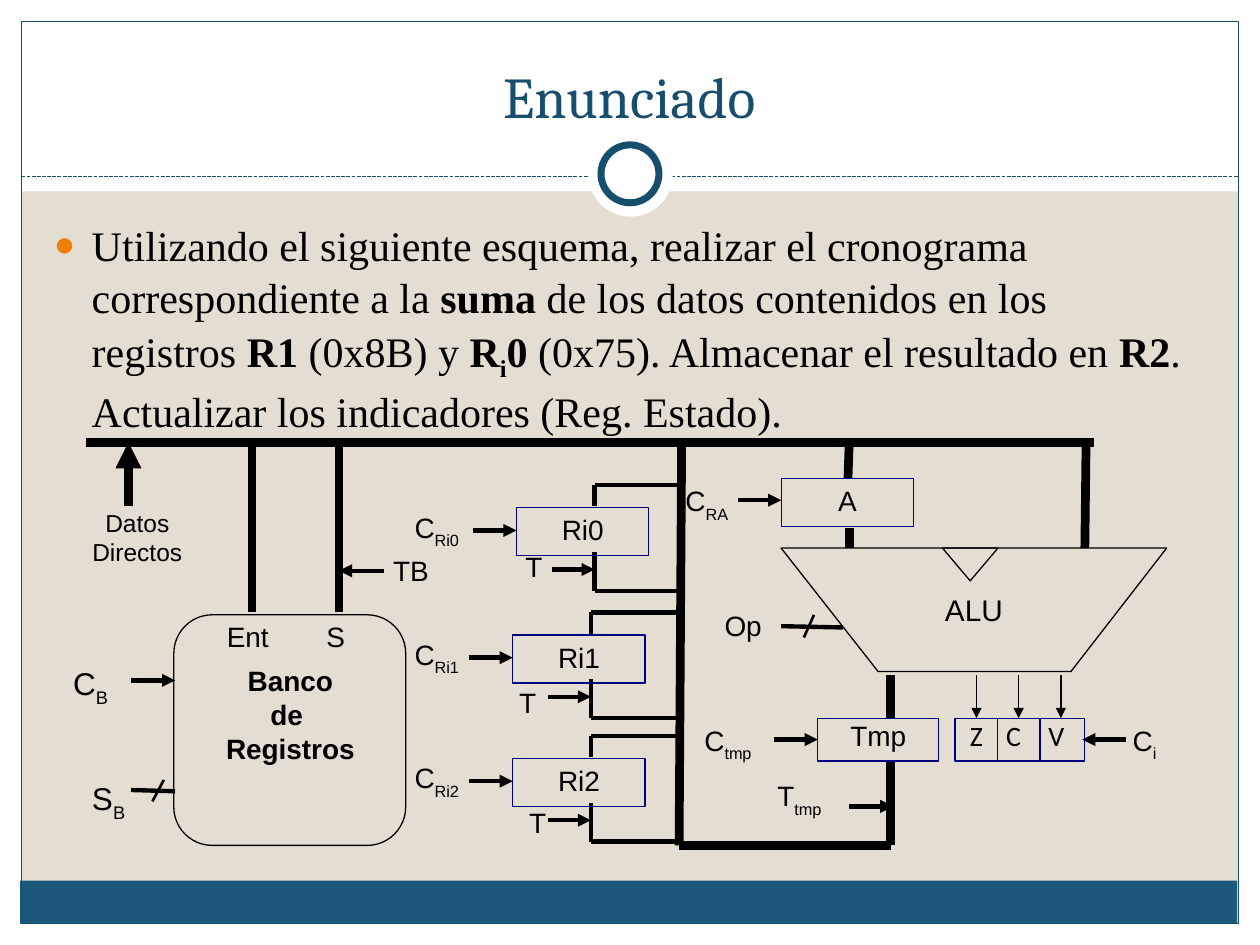
from dataclasses import dataclass
from lxml.etree import SubElement
from pptx import Presentation
from pptx.dml.color import RGBColor
from pptx.enum.dml import MSO_LINE
from pptx.enum.shapes import MSO_CONNECTOR, MSO_SHAPE as SHP
from pptx.enum.text import MSO_ANCHOR as ANC, PP_ALIGN as AL
from pptx.oxml.ns import qn
from pptx.util import Inches, Pt


@dataclass(frozen=True)
class Theme:
    sand: str = 'E3DED1'
    white: str = 'FFFFFF'
    band: str = '1B587C'
    blue: str = '184E6D'
    navy: str = '000080'
    black: str = '000000'
    orange: str = 'F07F09'
    title: int = 33
    body: int = 24
    large: int = 18
    alu: int = 17
    label: int = 16
    small: int = 14
    bus: float = 5
    wire: float = 2.5
    slash: float = 1.5
    thin: float = 0.75


T = Theme()
prs = Presentation()
prs.slide_width, prs.slide_height = Inches(10), Inches(7.5)
COL, ROW = prs.slide_width / 10, prs.slide_height / 7.5
s = prs.slides.add_slide(prs.slide_layouts[6])
s.background.fill.solid()
s.background.fill.fore_color.rgb = RGBColor.from_string(T.sand)


def box(kind, at, paras=(), size=T.label, font='Arial', color=T.black, fill=None,
        line=None, width=T.thin, al=AL.LEFT, anchor=ANC.TOP, ins=(0.07, 0.04)):
    x, y, w, h = (int(v * u) for v, u in zip(at, (COL, ROW, COL, ROW)))
    if kind is None:
        sp = s.shapes.add_textbox(x, y, w, h)
    elif isinstance(kind, list):
        pts = [(int(px * COL), int(py * ROW)) for px, py in kind]
        fb = s.shapes.build_freeform(*pts[0])
        fb.add_line_segments(pts[1:], close=True)
        sp = fb.convert_to_shape()
    else:
        sp = s.shapes.add_shape(kind, x, y, w, h)
    if kind is not None:
        sp.shadow.inherit = False
        for part, rgb in ((sp.fill, fill), (sp.line.fill, line)):
            if rgb:
                part.solid()
                part.fore_color.rgb = RGBColor.from_string(rgb)
            else:
                part.background()
        if line:
            sp.line.width = Pt(width)
    tf = sp.text_frame
    tf.word_wrap = True
    tf.vertical_anchor = anchor
    tf.margin_left = tf.margin_right = int(ins[0] * COL)
    tf.margin_top = tf.margin_bottom = int(ins[1] * ROW)
    for i, runs in enumerate(paras):
        p = tf.paragraphs[0] if i == 0 else tf.add_paragraph()
        p.alignment = al
        for text, bold, base in runs:
            r = p.add_run()
            r.text = text
            r.font.size, r.font.name, r.font.bold = Pt(size), font, bold
            r.font.color.rgb = RGBColor.from_string(color)
            if base:
                r.font._element.set('baseline', str(base * 1000))
    return sp


def wire(x1, y1, x2, y2, width=T.wire, arrow=False, color=T.black, dash=None):
    ln = s.shapes.add_connector(MSO_CONNECTOR.STRAIGHT, int(x1 * COL), int(y1 * ROW),
                                int(x2 * COL), int(y2 * ROW))
    ln.line.color.rgb = RGBColor.from_string(color)
    ln.line.width = Pt(width)
    if dash:
        ln.line.dash_style = dash
    spPr = ln._element.spPr
    if arrow:
        SubElement(spPr.find(qn('a:ln')), qn('a:tailEnd'), type='triangle')
    SubElement(spPr, qn('a:effectLst'))


for at, rgb in (((0, 7.33, 10, 0.17), T.white), ((0, 0, 10, 1.52), T.white),
                ((0, 0, 0.17, 7.5), T.white), ((9.83, 0, 0.17, 7.5), T.white),
                ((0.16, 6.99, 9.66, 0.34), T.band)):
    box(SHP.RECTANGLE, at, fill=rgb)
box(SHP.RECTANGLE, (0.17, 0.17, 9.66, 7.16), line=T.blue)
wire(0.17, 1.4, 9.83, 1.4, T.thin, color=T.blue, dash=MSO_LINE.SQUARE_DOT)
box(SHP.OVAL, (4.67, 1.05, 0.67, 0.67), fill=T.white)
box(SHP.OVAL, (4.77, 1.15, 0.46, 0.46), fill=T.white, line=T.blue, width=4)

box(None, (0.33, 0.25, 9.33, 0.83), [[('Enunciado', False, 0)]], T.title, 'Cambria', T.blue,
    al=AL.CENTER, anchor=ANC.BOTTOM, ins=(0.1, 0.05))
statement = [
    ('Utilizando el siguiente esquema, realizar el cronograma correspondiente a la ', False, 0),
    ('suma ', True, 0), ('de los datos contenidos en los registros ', False, 0),
    ('R1', True, 0), (' (0x8B) y ', False, 0), ('R', True, 0), ('i', True, -25),
    ('0 ', True, 0), ('(0x75). Almacenar el resultado en ', False, 0), ('R2', True, 0),
    ('. Actualizar los indicadores (Reg. Estado).', False, 0)]
body = box(None, (0.33, 1.67, 9.3, 5), [statement], T.body, 'Times New Roman', ins=(0.1, 0.05))
p = body.text_frame.paragraphs[0]
p.line_spacing, p.space_before = 1.05, Pt(2)
pPr = p._p.get_or_add_pPr()
pPr.set('marL', str(int(0.3 * COL)))
pPr.set('indent', str(int(-0.3 * COL)))
SubElement(SubElement(pPr, qn('a:buClr')), qn('a:srgbClr'), val=T.orange)
SubElement(pPr, qn('a:buSzPct'), val='85000')
SubElement(pPr, qn('a:buFont'), typeface='Arial')
SubElement(pPr, qn('a:buChar'), char='●')

box(SHP.ROUNDED_RECTANGLE, (1.38, 4.88, 1.84, 1.83), line=T.black)
box(None, (1.56, 5.23, 1.49, 1.14),
    [[(word, True, 0)] for word in ('Banco', 'de ', 'Registros')], al=AL.CENTER)
box([(6.2, 4.35), (6.97, 5.33), (8.5, 5.33), (9.26, 4.35)], (6.2, 4.35, 3.06, 0.98),
    [[('ALU', False, 0)]], T.alu, line=T.black, al=AL.CENTER, anchor=ANC.MIDDLE)
notch = box(SHP.ISOSCELES_TRIANGLE, (7.48, 4.35, 0.44, 0.26), line=T.black)
notch.rotation = 180

BUS_Y, BUS_X, TMP_X, END_Y = 3.51, 5.39, 7.07, 6.71
for seg in ((0.68, BUS_Y, 8.68, BUS_Y), (2, 4.86, 2, BUS_Y), (2.69, 4.86, 2.69, BUS_Y),
            (BUS_X, END_Y, 5.41, BUS_Y), (6.73, 3.8, 6.74, BUS_Y), (6.74, 4.35, 6.74, 4.19),
            (TMP_X, 5.7, TMP_X, 5.36), (BUS_X, END_Y, TMP_X, END_Y),
            (TMP_X, END_Y, TMP_X, 6.04), (8.61, 4.35, 8.62, BUS_Y)):
    wire(*seg, T.bus)
wire(1.02, 4.02, 1.02, BUS_Y, T.bus, True)
for seg in ((1.04, 5.4, 1.39, 5.4), (3.05, 4.53, 2.69, 4.53), (5.86, 3.97, 6.2, 3.97),
            (6.14, 5.87, 6.49, 5.87), (6.74, 6.4, 7.09, 6.4), (8.94, 5.87, 8.59, 5.87)):
    wire(*seg, arrow=True)
for seg in ((1.04, 6.27, 1.39, 6.28), (6.2, 4.97, 6.69, 4.98)):
    wire(*seg)
for seg in ((1.3, 6.19, 1.21, 6.36), (6.46, 4.88, 6.38, 5.06)):
    wire(*seg, T.slash)

for i, (x, top, tx, ty) in enumerate(((4.72, 3.85, 4.1, 4.32), (4.69, 4.86, 4.05, 5.4),
                                      (4.69, 5.84, 4.13, 6.35))):
    name = f'Ri{i}'
    for seg in ((BUS_X, top, x, top), (x, top, x, top + 0.17),
                (x, top + 0.53, x, top + 0.84), (BUS_X, top + 0.84, x, top + 0.84)):
        wire(*seg)
    wire(x - 0.97, top + 0.36, x - 0.62, top + 0.36, arrow=True)
    wire(x - 0.34, top + 0.67, x, top + 0.67, arrow=True)
    box(SHP.RECTANGLE, (x - 0.62, top + 0.18, 1.05, 0.38), [[(name, False, 0)]],
        line=T.navy, al=AL.CENTER)
    box(None, (3.22, top + 0.16, 0.82, 0.36), [[('C', False, 0), (name, False, -30)]])
    box(None, (tx, ty, 0.44, 0.37), [[('T', False, 0)]])

box(SHP.RECTANGLE, (6.2, 3.8, 1.05, 0.38), [[('A', False, 0)]], line=T.navy, al=AL.CENTER)
box(SHP.RECTANGLE, (6.49, 5.7, 0.96, 0.34), [[('Tmp', False, 0)]], line=T.navy,
    al=AL.CENTER, ins=(0.07, 0))
for i, (flag, w, al) in enumerate((('Z', 0.34, AL.CENTER), ('C', 0.34, AL.LEFT),
                                   ('V', 0.36, AL.LEFT))):
    x = 7.58 + 0.335 * i
    box(SHP.RECTANGLE, (x, 5.7, w, 0.34), [[(flag, False, 0)]], font='Calibri',
        line=T.navy, al=al, ins=(0.07, 0))
    wire(x + 0.17, 5.36, x + 0.17, 5.7, T.thin, True)

for text, sub, x, y, w, size in (
        ('C', 'RA', 5.37, 3.8, 0.74, T.label), ('C', 'tmp', 5.52, 5.7, 0.91, T.label),
        ('T', 'tmp', 6.1, 6.14, 0.85, T.label), ('C', 'i', 8.92, 5.7, 0.57, T.label),
        ('C', 'B', 0.51, 5.23, 0.59, T.large), ('S', 'B', 0.66, 6.14, 0.59, T.large),
        ('TB', '', 3.05, 4.35, 0.66, T.label), ('Ent', '', 1.73, 4.88, 0.69, T.label),
        ('S', '', 2.52, 4.88, 0.44, T.label), ('Op', '', 5.68, 4.79, 0.72, T.label)):
    runs = [(text, False, 0)] + ([(sub, False, -30)] if sub else [])
    box(None, (x, y, w, 0.37), [runs], size)
box(None, (0.43, 3.99, 1.32, 0.65), [[('Datos Directos', False, 0)]], T.small, al=AL.CENTER)

prs.save("out.pptx")
